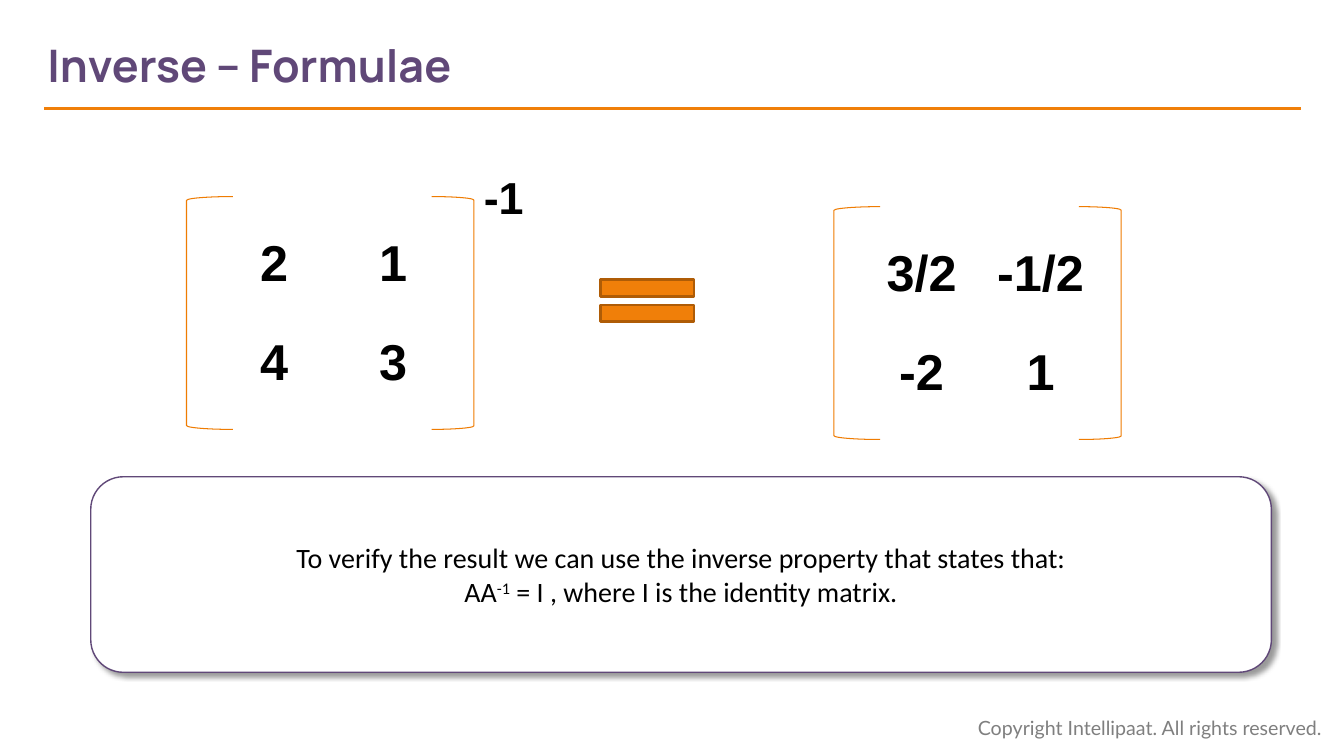
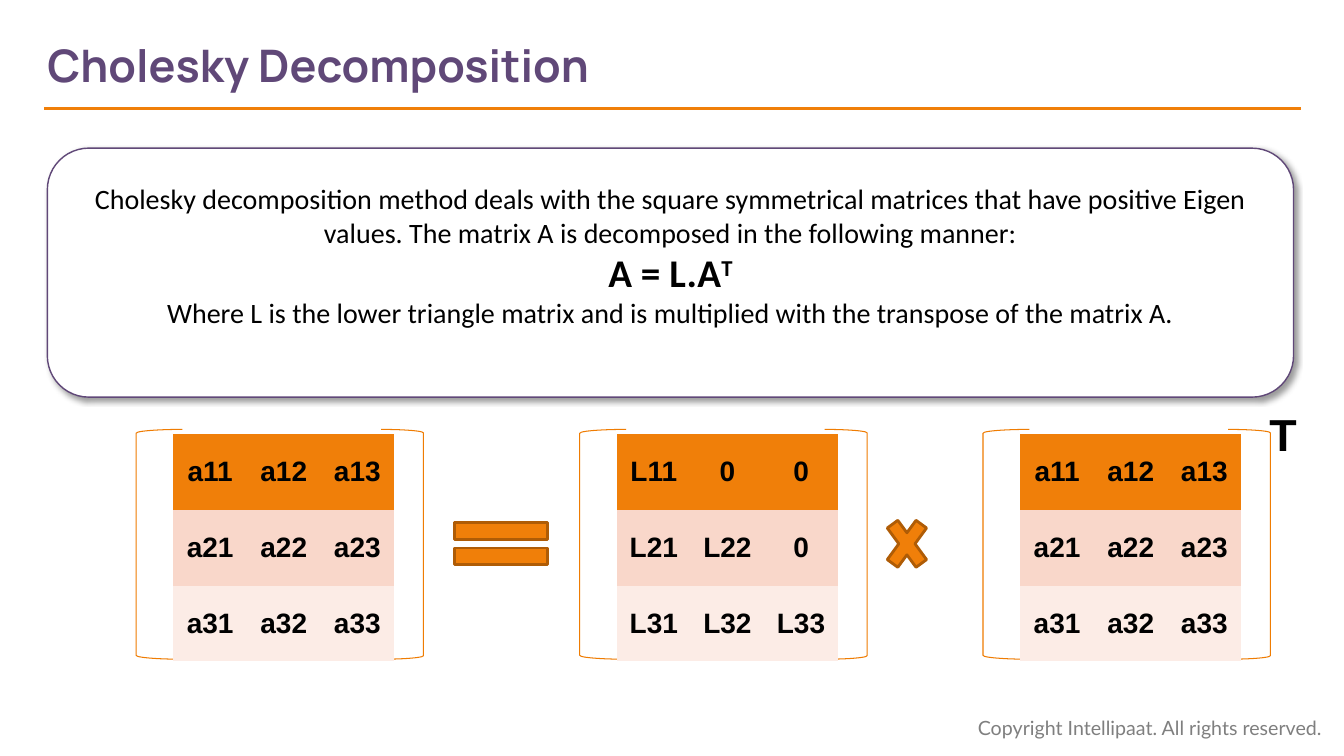
from dataclasses import dataclass

from lxml import etree
from pptx import Presentation
from pptx.dml.color import RGBColor
from pptx.enum.shapes import MSO_CONNECTOR, MSO_SHAPE as SHAPE
from pptx.enum.text import MSO_ANCHOR as ANCHOR, MSO_AUTO_SIZE as AUTO, PP_ALIGN as ALIGN
from pptx.oxml import parse_xml
from pptx.oxml.ns import nsdecls, qn
from pptx.util import Inches, Pt


@dataclass(frozen=True)
class Theme:
    purple: str = "604878"
    orange: str = "F07F09"
    dark_orange: str = "AF5C06"
    bracket: str = "EF7C02"
    grey: str = "7F7F7F"
    black: str = "000000"
    white: str = "FFFFFF"
    row_fills: tuple = ("F07F09", "F9D7CA", "FCECE6")
    title_font: str = "Manrope"
    body_font: str = "Calibri"
    matrix_font: str = "Arial"
    footer_font: str = "Lato"
    title: int = 32
    exponent: int = 32
    formula: int = 28
    body: int = 20
    footer: int = 14


T = Theme()
NO_GRID_STYLE = "{2D5ABB26-0587-4C30-8999-92F81FD0307C}"
SHADOW = (
    f'<a:outerShdw {nsdecls("a")} blurRad="50800" dist="38100" dir="2700000" algn="tl" rotWithShape="0">'
    f'<a:srgbClr val="{T.black}"><a:alpha val="40000"/></a:srgbClr></a:outerShdw>'
)


def format_text(p, font, size, color=T.black, bold=False, align=ALIGN.LEFT):
    p.alignment = align
    for r in p.runs:
        r.font.name, r.font.size, r.font.bold = font, Pt(size), bold
        r.font.color.rgb = RGBColor.from_string(color)


def add_styled(shapes, kind, box, fill, line, width):
    """Add a preset shape without shadow; fill None leaves it open."""
    sp = shapes.add_shape(kind, *map(Inches, box))
    sp.shadow.inherit = False
    if fill:
        sp.fill.solid()
        sp.fill.fore_color.rgb = RGBColor.from_string(fill)
    else:
        sp.fill.background()
    sp.line.color.rgb = RGBColor.from_string(line)
    sp.line.width = Pt(width)
    return sp


A_CELLS = [[f"a{row}{col}" for col in (1, 2, 3)] for row in (1, 2, 3)]
L_CELLS = [[f"L{row}{col}" if col <= row else "0" for col in (1, 2, 3)] for row in (1, 2, 3)]

# A callout paragraph is (text, superscript, text after it, size, bold).
# A matrix is (left, top, cells); an operator is (shape, box).
SLIDES = [
    dict(
        title="Inverse – Formulae",
        callout=(0.9, 4.73, 11.71, 1.94), callout_bottom=0.05,
        paragraphs=[
            ("To verify the result we can use the inverse property that states that:", "", "", T.body, False),
            ("AA", "-1", " = I , where I is the identity matrix.", T.body, False),
        ],
        matrices=[(1.85, 1.95, [["2", "1"], ["4", "3"]]),
                  (8.27, 2.05, [["3/2", "-1/2"], ["-2", "1"]])],
        bracket_height=2.31, inset=(0.28, 0.18), cell=(1.18, 0.98), cell_size=36, fills=None,
        operators=[(SHAPE.MATH_EQUAL, (5.79, 2.63, 1.26, 0.71))],
        exponent=("-1", 4.7, 1.63),
    ),
    dict(
        title="Cholesky Decomposition",
        callout=(0.47, 1.47, 12.36, 2.47), callout_bottom=0.39,
        paragraphs=[
            ("Cholesky decomposition method deals with the square symmetrical matrices that have positive "
             "Eigen values. The matrix A is decomposed in the following manner:", "", "", T.body, False),
            ("A = L.A", "T", "", T.formula, True),
            ("Where L is the lower triangle matrix and is multiplied with the transpose of the matrix A.",
             "", "", T.body, False),
        ],
        matrices=[(1.35, 4.26, A_CELLS), (5.75, 4.26, L_CELLS), (9.75, 4.26, A_CELLS)],
        bracket_height=2.28, inset=(0.37, 0.05), cell=(0.73, 0.75), cell_size=20, fills=T.row_fills,
        operators=[(SHAPE.MATH_EQUAL, (4.34, 5.04, 1.26, 0.71)),
                   (SHAPE.MATH_MULTIPLY, (8.72, 5.02, 0.55, 0.75))],
        exponent=("T", 12.49, 3.99),
    ),
]

prs = Presentation()
prs.slide_width, prs.slide_height = Inches(13.33), Inches(7.5)

for data in SLIDES:
    s = prs.slides.add_slide(prs.slide_layouts[5])

    # Title, rule and footer
    title = s.shapes.title
    title.left, title.top, title.width, title.height = map(Inches, (0.47, 0.22, 9.47, 0.84))
    tf = title.text_frame
    tf.text = data["title"]
    tf.auto_size, tf.vertical_anchor, tf.margin_left = AUTO.NONE, ANCHOR.MIDDLE, 0
    format_text(tf.paragraphs[0], T.title_font, T.title, T.purple, True)

    rule = s.shapes.add_connector(MSO_CONNECTOR.STRAIGHT, *map(Inches, (12.9, 1.08, 0.44, 1.08)))
    rule.line.color.rgb = RGBColor.from_string(T.orange)
    rule.line.width = Pt(2.25)
    etree.SubElement(rule._element.spPr, qn("a:effectLst"))

    tf = s.shapes.add_textbox(*map(Inches, (9.6, 7.05, 3.67, 0.34))).text_frame
    tf.word_wrap = True
    tf.text = "Copyright Intellipaat. All rights reserved."
    format_text(tf.paragraphs[0], T.footer_font, T.footer, T.grey)

    # Callout
    callout = add_styled(s.shapes, SHAPE.ROUNDED_RECTANGLE, data["callout"], T.white, T.purple, 1)
    callout._element.spPr.find(qn("a:effectLst")).append(parse_xml(SHADOW))
    tf = callout.text_frame
    tf.word_wrap, tf.vertical_anchor = True, ANCHOR.MIDDLE
    tf.margin_bottom = Inches(data["callout_bottom"])
    for i, (before, superscript, after, size, bold) in enumerate(data["paragraphs"]):
        p = tf.add_paragraph() if i else tf.paragraphs[0]
        for text in filter(None, (before, superscript, after)):
            r = p.add_run()
            r.text = text
            if text == superscript:
                r._r.get_or_add_rPr().set("baseline", "30000")
        format_text(p, T.body_font, size, bold=bold, align=ALIGN.CENTER)

    # Matrices
    cell_w, cell_h = data["cell"]
    inset_x, inset_y = data["inset"]
    for left, top, rows in data["matrices"]:
        brackets = s.shapes.add_group_shape()
        for kind, x, w in ((SHAPE.LEFT_BRACKET, left, 0.46), (SHAPE.RIGHT_BRACKET, left + 2.43, 0.42)):
            add_styled(brackets.shapes, kind, (x, top, w, data["bracket_height"]), None, T.bracket, 0.75)

        n_rows, n_cols = len(rows), len(rows[0])
        box = (left + inset_x, top + inset_y, n_cols * cell_w, n_rows * cell_h)
        table = s.shapes.add_table(n_rows, n_cols, *map(Inches, box)).table
        table.first_row = table.horz_banding = False
        table._tbl.tblPr.find(qn("a:tableStyleId")).text = NO_GRID_STYLE
        for i, row in enumerate(rows):
            for j, text in enumerate(row):
                cell = table.cell(i, j)
                cell.text = text
                cell.vertical_anchor = ANCHOR.MIDDLE
                format_text(cell.text_frame.paragraphs[0], T.matrix_font, data["cell_size"],
                            bold=True, align=ALIGN.CENTER)
                if data["fills"]:
                    cell.fill.solid()
                    cell.fill.fore_color.rgb = RGBColor.from_string(data["fills"][i])
                else:
                    cell.fill.background()

    # Operators and exponent
    for kind, box in data["operators"]:
        add_styled(s.shapes, kind, box, T.orange, T.dark_orange, 2)

    text, left, top = data["exponent"]
    tf = s.shapes.add_textbox(*map(Inches, (left, top, 0.69, 0.64))).text_frame
    tf.word_wrap = True
    tf.text = text
    format_text(tf.paragraphs[0], T.matrix_font, T.exponent, bold=True)

prs.save("out.pptx")
